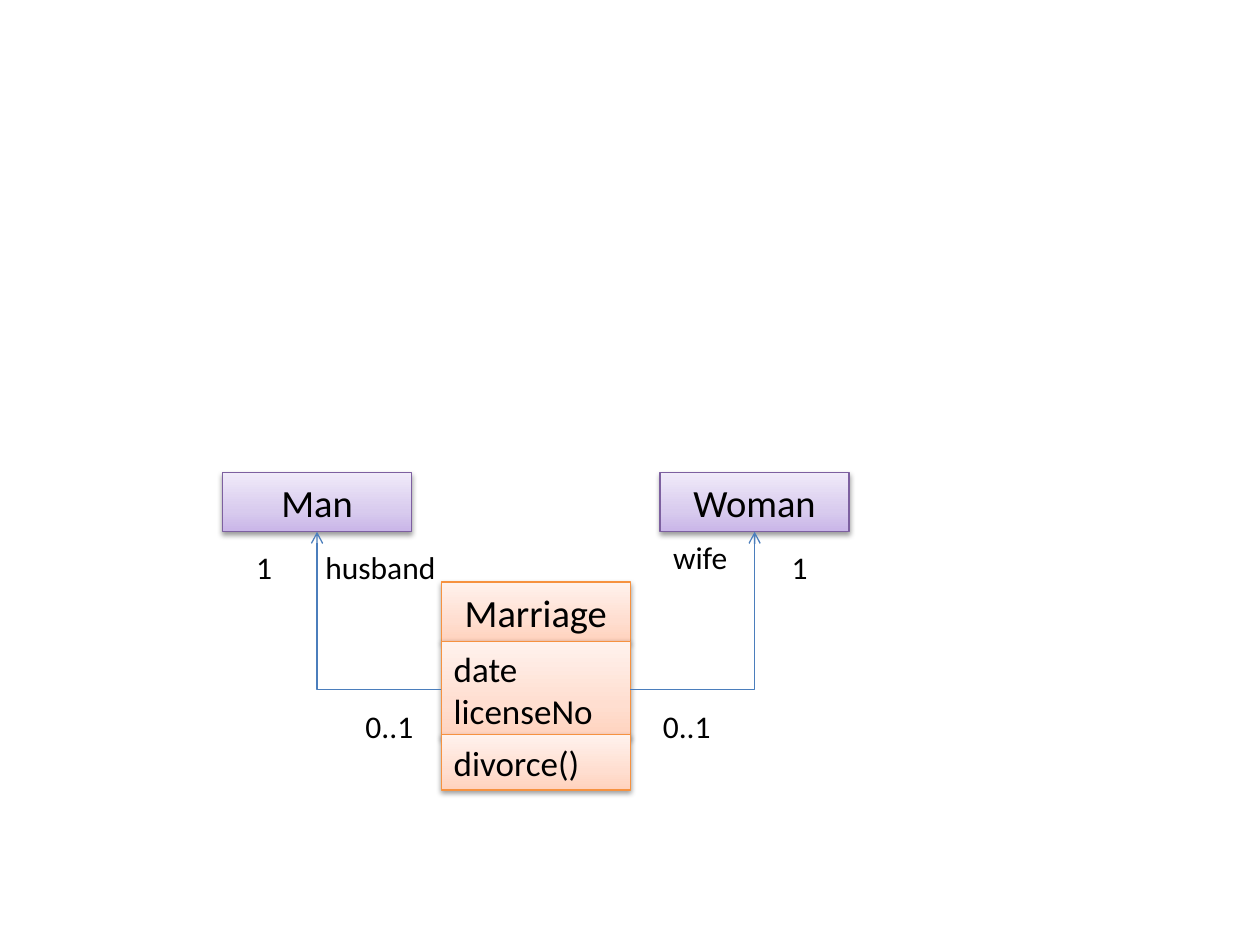
from copy import deepcopy
from lxml import etree
from pptx import Presentation
from pptx.dml.color import RGBColor
from pptx.enum.shapes import MSO_CONNECTOR, MSO_SHAPE
from pptx.enum.text import MSO_ANCHOR, MSO_AUTO_SIZE, PP_ALIGN
from pptx.oxml import parse_xml
from pptx.oxml.ns import qn
from pptx.util import Pt

NS = 'xmlns:a="http://schemas.openxmlformats.org/drawingml/2006/main"'
SHADOW = (f'<a:effectLst {NS}><a:outerShdw blurRad="{Pt(3.1)}" dist="{Pt(1.6)}" '
          'dir="5400000" rotWithShape="0"><a:srgbClr val="000000">'
          '<a:alpha val="38000"/></a:srgbClr></a:outerShdw></a:effectLst>')
PURPLE = {"stops": ["C9B5E8", "D8CBEE", "F0EAF9"], "line": "7D60A0"}
ORANGE = {"stops": ["FFD2BD", "FFDED0", "FFF2ED"], "line": "F69240"}
BOX_W, NAME_H = 108, 33.9


def rgb(value):
    return RGBColor.from_string(value)


def set_text(sp, lines, size, align, wrap):
    tf = sp.text_frame
    frame = {"word_wrap": wrap, "auto_size": MSO_AUTO_SIZE.SHAPE_TO_FIT_TEXT}
    for name, value in frame.items():
        setattr(tf, name, value)
    for i, line in enumerate(lines):
        p = tf.paragraphs[0] if i == 0 else tf.add_paragraph()
        p.alignment = align
        r = p.add_run()
        r.text = line
        for name, value in {"name": "Calibri", "size": Pt(size)}.items():
            setattr(r.font, name, value)
        r.font.color.rgb = rgb("000000")


def add_box(s, x, y, h, lines, style, size=20, align=PP_ALIGN.LEFT):
    sp = s.shapes.add_shape(MSO_SHAPE.RECTANGLE, Pt(x), Pt(y), Pt(BOX_W), Pt(h))
    sp.fill.gradient()
    sp.fill.gradient_angle = 90
    stops = sp._element.spPr.find(".//" + qn("a:gsLst"))
    stops.insert(1, deepcopy(stops[0]))
    for stop, position, color in zip(sp.fill.gradient_stops, (0, 0.35, 1), style["stops"]):
        stop.position = position
        stop.color.rgb = rgb(color)
    sp.line.color.rgb = rgb(style["line"])
    sp.line.width = Pt(0.75)
    sp._element.spPr.append(parse_xml(SHADOW))
    set_text(sp, lines, size, align, True)
    sp.text_frame.vertical_anchor = MSO_ANCHOR.MIDDLE
    return sp


def add_name_box(s, x, y, name, style):
    return add_box(s, x, y, NAME_H, [name], style, 22, PP_ALIGN.CENTER)


def add_class(s, x, y, name, attributes, operations):
    add_name_box(s, x, y, name, ORANGE)
    middle = add_box(s, x, y + NAME_H, 55.4, attributes, ORANGE)
    add_box(s, x, y + 87.2, 31.7, operations, ORANGE)
    return middle


def add_link(s, start, side, end):
    link = s.shapes.add_connector(MSO_CONNECTOR.ELBOW, 0, 0, 0, 0)
    link.begin_connect(start, side)
    link.end_connect(end, 2)
    link.line.color.rgb = rgb("4B7EBC")
    link.line.width = Pt(0.75)
    spPr = link._element.spPr
    spPr.find(qn("a:prstGeom")).set("prst", "bentConnector2")
    etree.SubElement(link.line._get_or_add_ln(), qn("a:tailEnd")).set("type", "arrow")
    etree.SubElement(spPr, qn("a:effectLst"))


def add_label(s, x, y, w, text, align=PP_ALIGN.LEFT):
    sp = s.shapes.add_textbox(Pt(x), Pt(y), Pt(w), Pt(28))
    set_text(sp, [text], 18, align, False)


def add_diagram(s, x, y):
    man = add_name_box(s, x, y, "Man", PURPLE)
    woman = add_name_box(s, x + 250, y, "Woman", PURPLE)
    attributes = add_class(s, x + 125, y + 62.6, "Marriage",
                           ["date", "licenseNo"], ["divorce()"])
    add_link(s, attributes, 1, man)
    add_link(s, attributes, 3, woman)
    labels = [
        (12, 39.6, 34, "1"),
        (318, 39.6, 34, "1"),
        (244.5, 130.3, 45.4, "0..1"),
        (74.6, 130.3, 45.4, "0..1"),
        (244.5, 33.9, 51, "wife", PP_ALIGN.RIGHT),
        (51.6, 39.6, 79, "husband"),
    ]
    for dx, dy, *rest in labels:
        add_label(s, x + dx, y + dy, *rest)


def main():
    prs = Presentation()
    prs.slide_width, prs.slide_height = Pt(720), Pt(540)
    s = prs.slides.add_slide(prs.slide_layouts[6])
    add_diagram(s, 127.2, 270)
    prs.save("out.pptx")


if __name__ == "__main__":
    main()
